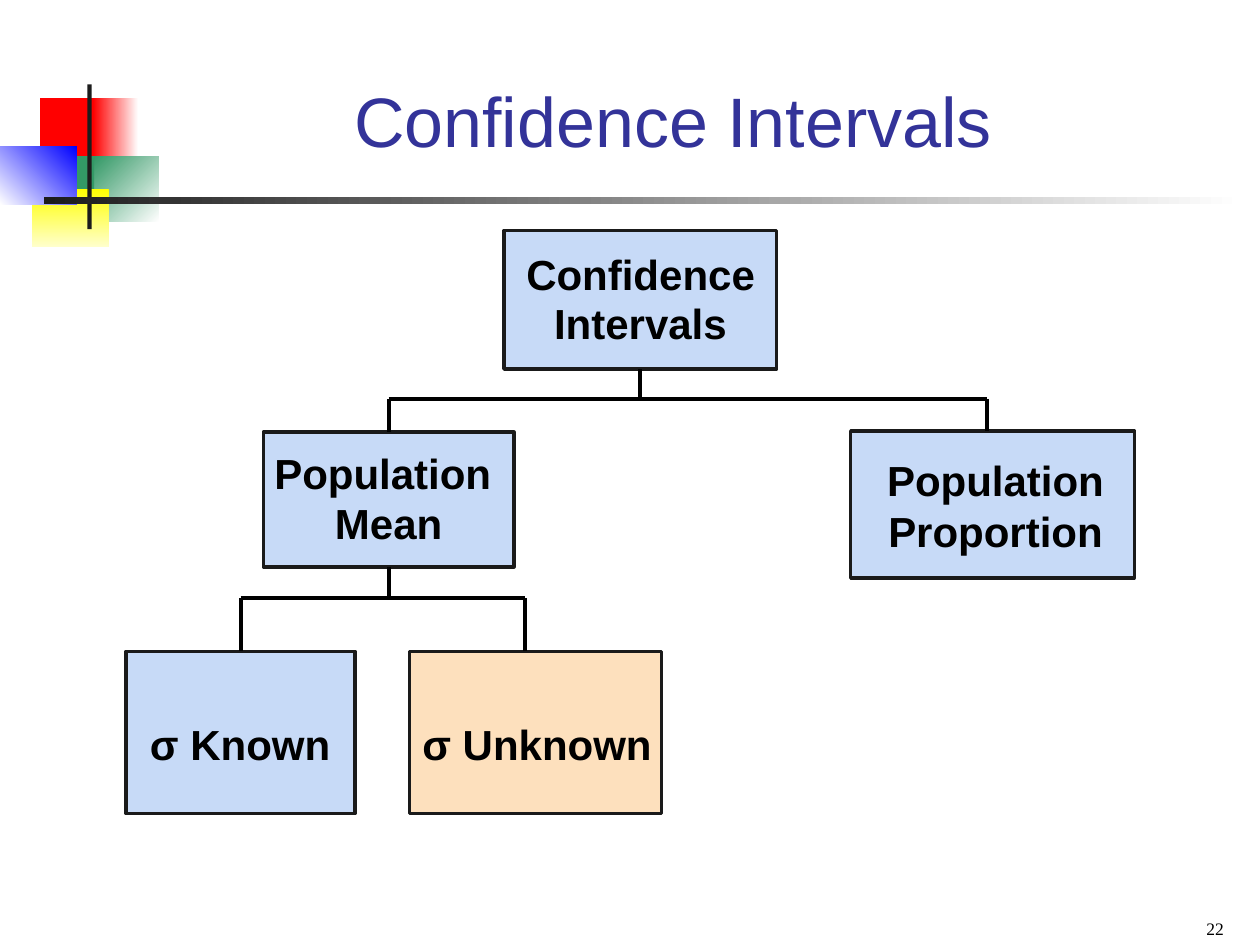
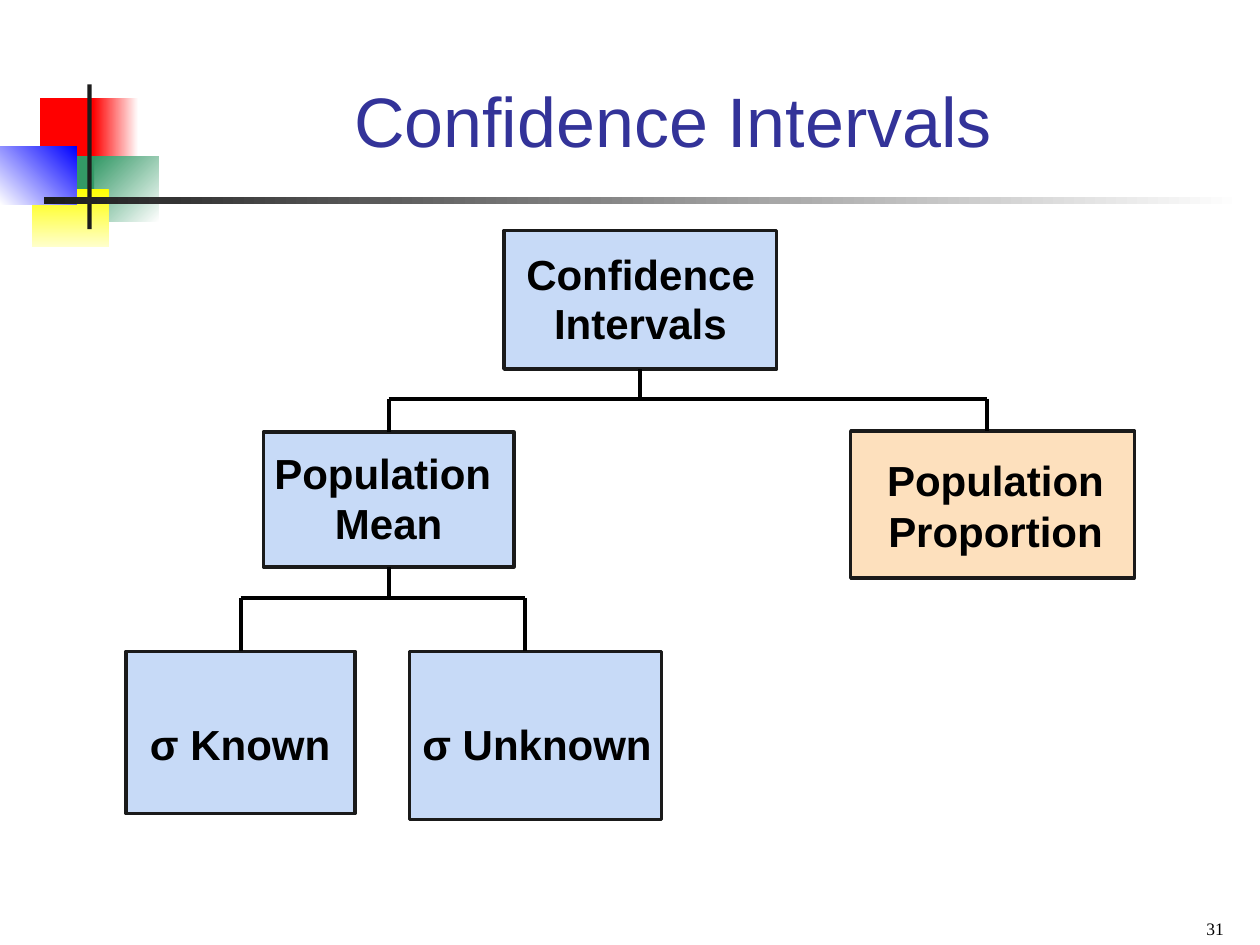
from dataclasses import dataclass

from lxml.etree import SubElement
from pptx import Presentation
from pptx.dml.color import RGBColor
from pptx.enum.shapes import MSO_CONNECTOR, MSO_SHAPE
from pptx.enum.text import MSO_ANCHOR, MSO_AUTO_SIZE, PP_ALIGN
from pptx.oxml.ns import qn
from pptx.shapes.autoshape import Shape
from pptx.shapes.connector import Connector
from pptx.slide import Slide, SlideLayout
from pptx.text.text import TextFrame
from pptx.util import Cm, Length, Pt

TOP, BOTTOM = 0, 2


@dataclass(frozen=True)
class Theme:
    title: str = "333399"
    ink: str = "000000"
    edge: str = "1A1A1A"
    plain: str = "C7DAF7"
    focus: str = "FDE0BD"
    sans: str = "Arial"
    serif: str = "Times New Roman"
    head: int = 40
    body: int = 24
    foot: int = 10
    border: float = 2
    link: float = 2.25


@dataclass(frozen=True)
class Area:
    left: float
    top: float
    width: float
    height: float

    def size(self) -> tuple[Length, ...]:
        return Cm(self.left), Cm(self.top), Cm(self.width), Cm(self.height)


@dataclass(frozen=True)
class Patch:
    area: Area
    start: str
    end: str = ""
    angle: int = 0


@dataclass(frozen=True)
class Label:
    area: Area
    lines: tuple[str, ...]
    align: PP_ALIGN = PP_ALIGN.LEFT
    wrap: bool = False


@dataclass(frozen=True)
class Page:
    number: str
    focus: str
    depth: float


THEME = Theme()
HEAD = Area(3.2, 0.64, 20.73, 2.74)
FOOT = Area(19, 18.16, 5.92, 0.89)
PATCHES = (
    Patch(Area(0.81, 1.98, 1.22, 1.32), "FF0000"),
    Patch(Area(1.88, 1.98, 0.91, 1.32), "FFFFFF", "FF0000", 180),
    Patch(Area(1.9, 3.15, 1.3, 1.32), "FFFFFF", "339966", 135),
    Patch(Area(1.09, 3.15, 0.81, 1.32), "339966"),
    Patch(Area(0.64, 3.81, 1.55, 1.17), "FFFF00", "FFFFCC", 270),
    Patch(Area(0, 2.95, 1.55, 1.17), "0000FF", "FFFFFF", 225),
    Patch(Area(1.76, 1.7, 0.09, 2.92), "1C1C1C"),
    Patch(Area(0.89, 3.97, 24.16, 0.15), "FFFFFF", "1C1C1C", 180),
)
BOXES = {
    "root": Area(10.16, 4.65, 5.5, 2.79),
    "mean": Area(5.31, 8.71, 5.05, 2.72),
    "share": Area(17.15, 8.69, 5.72, 2.96),
    "known": Area(2.54, 13.13, 4.62, 3.27),
}
LABELS = (
    Label(Area(10.36, 4.88, 5.11, 1.27), ("Confidence",)),
    Label(Area(10.92, 5.87, 3.99, 1.27), ("Intervals",)),
    Label(Area(5.28, 8.89, 5.11, 2.29), ("Population ", "Mean"), PP_ALIGN.CENTER),
    Label(Area(17.48, 9.04, 5.18, 2.29), ("Population", "Proportion"),
          PP_ALIGN.CENTER, True),
    Label(Area(2.54, 14.35, 4.5, 1.27), (" σ Known",)),
    Label(Area(8.03, 14.35, 5.4, 1.27), (" σ Unknown",)),
)
PAGES = (Page("22", "unknown", 3.27), Page("31", "share", 3.39))


def paint(shape: Shape, color: str) -> None:
    shape.shadow.inherit = False
    shape.fill.solid()
    shape.fill.fore_color.rgb = RGBColor.from_string(color)


def brand(slide: Slide, layout: SlideLayout) -> None:
    group = slide.shapes.add_group_shape()
    for patch in PATCHES:
        shape = group.shapes.add_shape(MSO_SHAPE.RECTANGLE, *patch.area.size())
        paint(shape, patch.start)
        shape.line.fill.background()
        if patch.end:
            shape.fill.gradient()
            shape.fill.gradient_angle = patch.angle
            for stop, color in zip(shape.fill.gradient_stops, (patch.start, patch.end)):
                stop.color.rgb = RGBColor.from_string(color)
    for number, part in enumerate(group.element.iter(qn("p:cNvPr")), 100):
        part.set("id", str(number))
    layout.shapes.element.insert(2, group.element)


def write(frame: TextFrame, lines: tuple[str, ...], size: int, color: str,
          face: str, align: PP_ALIGN, bold: bool = False) -> None:
    for index, line in enumerate(lines):
        para = frame.add_paragraph() if index else frame.paragraphs[0]
        para.alignment = align
        run = para.add_run()
        run.text = line
        run.font.size = Pt(size)
        run.font.name = face
        run.font.bold = bold
        run.font.color.rgb = RGBColor.from_string(color)


def add_title(slide: Slide) -> None:
    title = slide.shapes.title
    title.left, title.top, title.width, title.height = HEAD.size()
    frame = title.text_frame
    frame.vertical_anchor = MSO_ANCHOR.BOTTOM
    write(frame, ("Confidence Intervals",), THEME.head, THEME.title,
          THEME.sans, PP_ALIGN.CENTER)


def add_box(slide: Slide, area: Area, color: str) -> Shape:
    box = slide.shapes.add_shape(MSO_SHAPE.RECTANGLE, *area.size())
    paint(box, color)
    box.line.color.rgb = RGBColor.from_string(THEME.edge)
    box.line.width = Pt(THEME.border)
    return box


def add_label(slide: Slide, label: Label) -> None:
    frame = slide.shapes.add_textbox(*label.area.size()).text_frame
    frame.word_wrap = label.wrap
    frame.auto_size = MSO_AUTO_SIZE.SHAPE_TO_FIT_TEXT
    write(frame, label.lines, THEME.body, THEME.ink, THEME.sans, label.align, True)


def add_line(slide: Slide, left: Length, top: Length,
             right: Length, bottom: Length) -> Connector:
    line = slide.shapes.add_connector(MSO_CONNECTOR.STRAIGHT, left, top, right, bottom)
    line.line.color.rgb = RGBColor.from_string(THEME.ink)
    line.line.width = Pt(THEME.link)
    SubElement(line.element.spPr, qn("a:effectLst"))
    return line


def middle(box: Shape) -> Length:
    return Length(box.left + box.width // 2)


def add_fork(slide: Slide, source: Shape, child: Shape, other: Shape,
             level: Length, end: Length) -> None:
    for box, side in ((source, BOTTOM), (child, TOP)):
        edge = box.top + (box.height if side == BOTTOM else 0)
        stem = add_line(slide, middle(box), level, middle(box), edge)
        stem.end_connect(box, side)
    add_line(slide, middle(child), level, end, level)
    add_line(slide, end, level, end, other.top)


def add_foot(slide: Slide, number: str) -> None:
    frame = slide.shapes.add_textbox(*FOOT.size()).text_frame
    frame.word_wrap = True
    frame.vertical_anchor = MSO_ANCHOR.BOTTOM
    write(frame, (number,), THEME.foot, THEME.ink, THEME.serif, PP_ALIGN.RIGHT)


def build(slide: Slide, page: Page) -> None:
    add_title(slide)
    areas = BOXES | {"unknown": Area(8.26, 13.13, 5.08, page.depth)}
    boxes = {
        name: add_box(slide, area, THEME.focus if name == page.focus else THEME.plain)
        for name, area in areas.items()
    }
    for label in LABELS:
        add_label(slide, label)
    add_fork(slide, boxes["root"], boxes["mean"], boxes["share"], Cm(8.04), Cm(19.9))
    add_fork(slide, boxes["mean"], boxes["known"], boxes["unknown"],
             Cm(12.06), Cm(10.58))
    add_foot(slide, page.number)


def main() -> None:
    deck = Presentation()
    deck.slide_width, deck.slide_height = Cm(25.4), Cm(19.05)
    layout = deck.slide_layouts.get_by_name("Title Only")
    slides = [deck.slides.add_slide(layout) for _ in PAGES]
    brand(slides[0], layout)
    for slide, page in zip(slides, PAGES):
        build(slide, page)
    deck.save("out.pptx")


if __name__ == "__main__":
    main()
